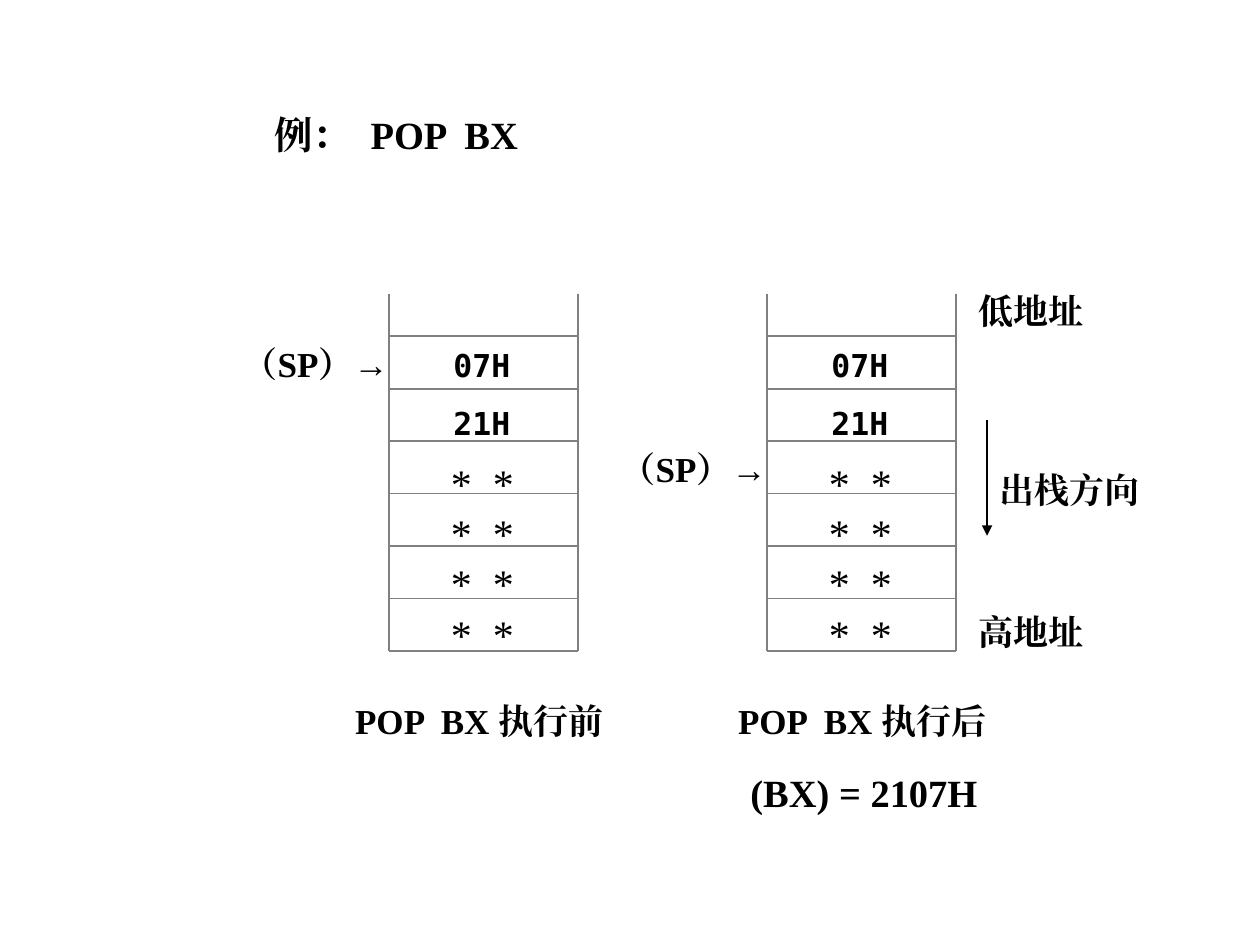
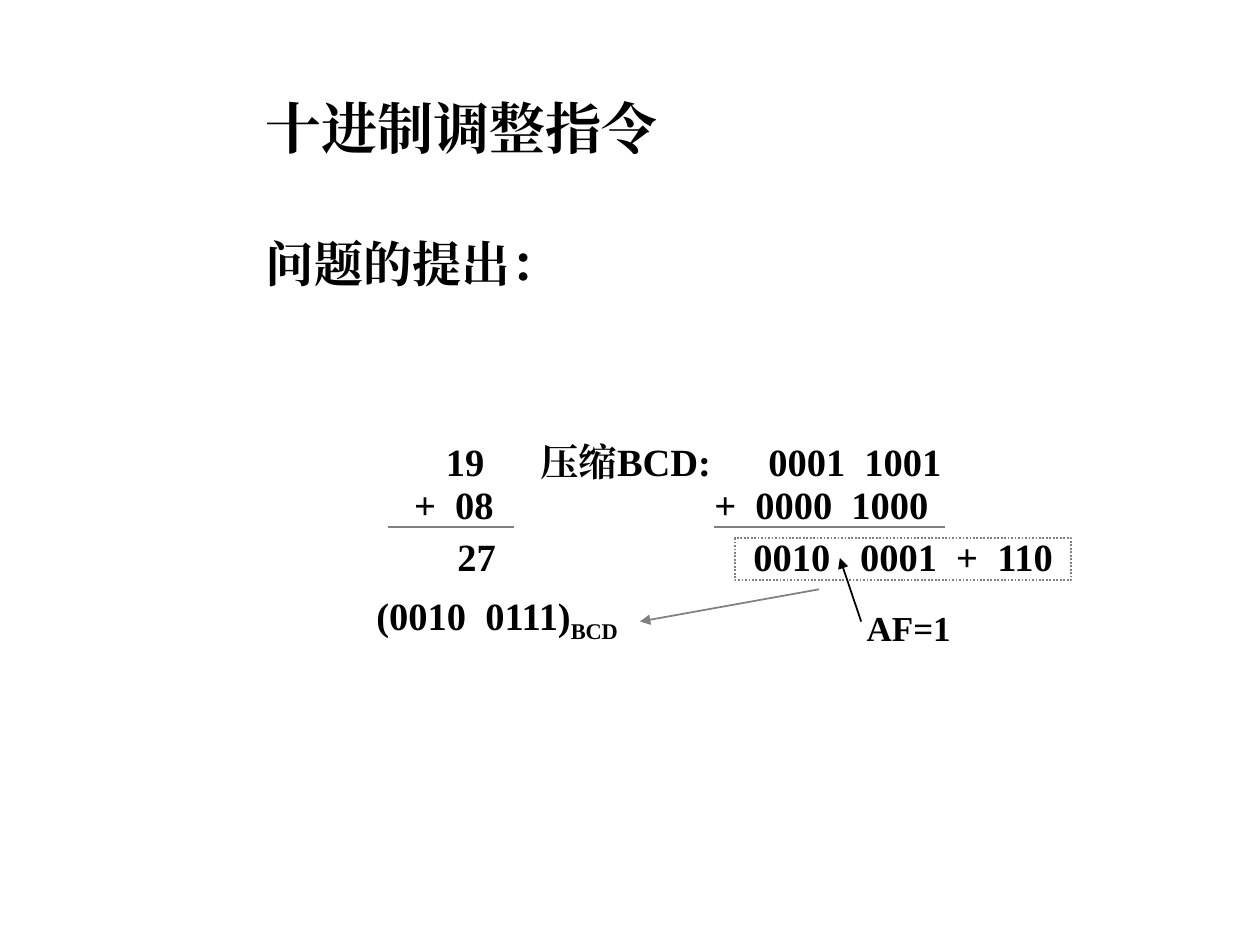
from pptx import Presentation
from pptx.dml.color import RGBColor
from pptx.enum.dml import MSO_LINE
from pptx.enum.shapes import MSO_CONNECTOR, MSO_SHAPE
from pptx.enum.text import MSO_ANCHOR, MSO_AUTO_SIZE, PP_ALIGN
from pptx.oxml.ns import qn
from pptx.util import Cm, Pt
from lxml.etree import SubElement

BLACK = RGBColor(0x00, 0x00, 0x00)
GRAY = RGBColor(0x80, 0x80, 0x80)
SERIF, MONO, SANS = "Times New Roman", "DejaVu Sans Mono", "Arial"

# Stack diagram, in centimetres
STACK_W, STACK_TOP, FIRST_ROW, STACK_BOTTOM = 3.81, 5.92, 6.78, 13.12
ROWS = 6
ROW_H = (STACK_BOTTOM - FIRST_ROW) / ROWS


def set_font(font, size, name=SERIF, bold=True):
    font.size, font.name, font.bold = Pt(size), name, bold
    font.color.rgb = BLACK
    east_asian = SubElement(font._element, qn("a:ea"))
    east_asian.set("typeface", name)


def write(frame, lines, size, name=SERIF, bold=True, before=0):
    frame.word_wrap = True
    frame.auto_size = MSO_AUTO_SIZE.NONE
    for i, line in enumerate(lines):
        paragraph = frame.paragraphs[0] if i == 0 else frame.add_paragraph()
        paragraph.text = line
        paragraph.alignment = PP_ALIGN.LEFT
        paragraph.space_before = Pt(before if i else 0)
        set_font(paragraph.font, size, name, bold)
    return frame.paragraphs[0]


def add_label(slide, x, y, w, h, lines, size=20, anchor=MSO_ANCHOR.TOP, **style):
    frame = slide.shapes.add_textbox(Cm(x), Cm(y), Cm(w), Cm(h)).text_frame
    frame.vertical_anchor = anchor
    return write(frame, lines, size, **style)


def fill_placeholder(holder, x, y, w, h, text, size):
    holder.left, holder.top, holder.width, holder.height = map(Cm, (x, y, w, h))
    holder.text_frame.vertical_anchor = MSO_ANCHOR.TOP
    return write(holder.text_frame, [text], size)


def add_line(slide, x1, y1, x2, y2, color=GRAY, width=1, arrow=False):
    line = slide.shapes.add_connector(
        MSO_CONNECTOR.STRAIGHT, Cm(x1), Cm(y1), Cm(x2), Cm(y2))
    line.line.color.rgb = color
    line.line.width = Pt(width)
    if arrow:
        SubElement(line.line._get_or_add_ln(), qn("a:tailEnd")).set("type", "triangle")
    SubElement(line._element.spPr, qn("a:effectLst"))


def add_stack(slide, left, pointer_row):
    # Open-topped frame and its rows
    right = left + STACK_W
    for x in (left, right):
        add_line(slide, x, STACK_TOP, x, STACK_BOTTOM)
    for row in range(ROWS + 1):
        y = FIRST_ROW + row * ROW_H
        add_line(slide, left, y, right, y)
    # Contents
    add_label(slide, left + 1.05, 6.86, 2.34, 2.18, ["07H", "21H"], 18,
              name=MONO, before=11.2)
    add_label(slide, left + 1, 9.09, 2.34, 4.32, ["*  *"] * 4, 24, bold=False)
    # Stack pointer: the arrow falls on the second line
    pointer = add_label(slide, left - 3.2, FIRST_ROW + pointer_row * ROW_H,
                        3.5, 1.96, ["（SP）"])
    arrow = pointer.add_run()
    arrow.text = "→"
    set_font(arrow.font, 20, SANS)


def build_pop_slide(prs):
    slide = prs.slides.add_slide(prs.slide_layouts[5])
    fill_placeholder(slide.shapes.title, 5.28, 2.11, 6.15, 1.19, "例：  POP  BX", 22)

    # Stack before and after the instruction
    add_stack(slide, 7.84, pointer_row=0)
    add_stack(slide, 15.46, pointer_row=2)
    add_label(slide, 6.91, 13.97, 6, 1.12, ["POP  BX 执行前"])
    add_label(slide, 14.63, 13.97, 6, 1.12, ["POP  BX 执行后"])
    add_label(slide, 14.88, 15.37, 6, 1.19, ["(BX) = 2107H"], 22)

    # Address ends and direction
    add_label(slide, 19.48, 5.72, 3.18, 1.12, ["低地址"])
    add_label(slide, 19.48, 12.19, 3.18, 1.12, ["高地址"])
    add_line(slide, 19.9, 8.47, 19.9, 10.8, BLACK, 0.75, arrow=True)
    add_label(slide, 19.9, 9.32, 3.6, 1.12, ["出栈方向"])


def build_adjust_slide(prs):
    slide = prs.slides.add_slide(prs.slide_layouts[1])
    fill_placeholder(slide.shapes.title, 5.1, 1.75, 8.6, 1.63, "十进制调整指令", 32)
    question = fill_placeholder(slide.placeholders[1], 5.1, 4.57, 6.6, 1.45,
                                "问题的提出：", 28)
    props = question._p.get_or_add_pPr()
    props.set("marL", "0")
    props.set("indent", "0")
    props.insert_element_before(props.makeelement(qn("a:buNone")),
                                "a:tabLst", "a:defRPr", "a:extLst")

    # Decimal and packed BCD sums: row top, then (left, text) of each part
    sums = [
        (8.7, [(8.74, "19"), (10.64, "压缩BCD:"), (15.24, "0001  1001")]),
        (9.57, [(8.1, "+  08"), (14.15, "+  0000  1000")]),
        (10.62, [(8.97, "27"), (14.94, "0010"), (17.09, "0001  +  110")]),
    ]
    for y, parts in sums:
        for x, text in parts:
            add_label(slide, x, y, 6, 1.19, [text], 22, MSO_ANCHOR.MIDDLE)
    for x1, x2 in ((7.82, 10.36), (14.4, 19.05)):
        add_line(slide, x1, 10.62, x2, 10.62)

    # Adjusted result
    result = add_label(slide, 7.34, 11.86, 6, 1.19, ["(0010  0111)"], 22,
                       MSO_ANCHOR.MIDDLE)
    subscript = result.add_run()
    subscript.text = "BCD"
    subscript.font._element.set("baseline", "-25000")

    # Correction by 110 and its cause
    correction = slide.shapes.add_shape(
        MSO_SHAPE.RECTANGLE, Cm(14.82), Cm(10.85), Cm(6.77), Cm(0.85))
    correction.shadow.inherit = False
    correction.fill.background()
    correction.line.color.rgb = GRAY
    correction.line.width = Pt(1)
    correction.line.dash_style = MSO_LINE.ROUND_DOT
    add_line(slide, 16.51, 11.88, 12.9, 12.53, arrow=True)
    add_label(slide, 17.22, 12.09, 2.5, 1.12, ["AF=1"], 20, MSO_ANCHOR.MIDDLE)
    add_line(slide, 17.36, 12.53, 16.93, 11.25, BLACK, arrow=True)


def main():
    prs = Presentation()
    prs.slide_width, prs.slide_height = Cm(25.4), Cm(19.05)
    build_pop_slide(prs)
    build_adjust_slide(prs)
    prs.save("out.pptx")


if __name__ == "__main__":
    main()
